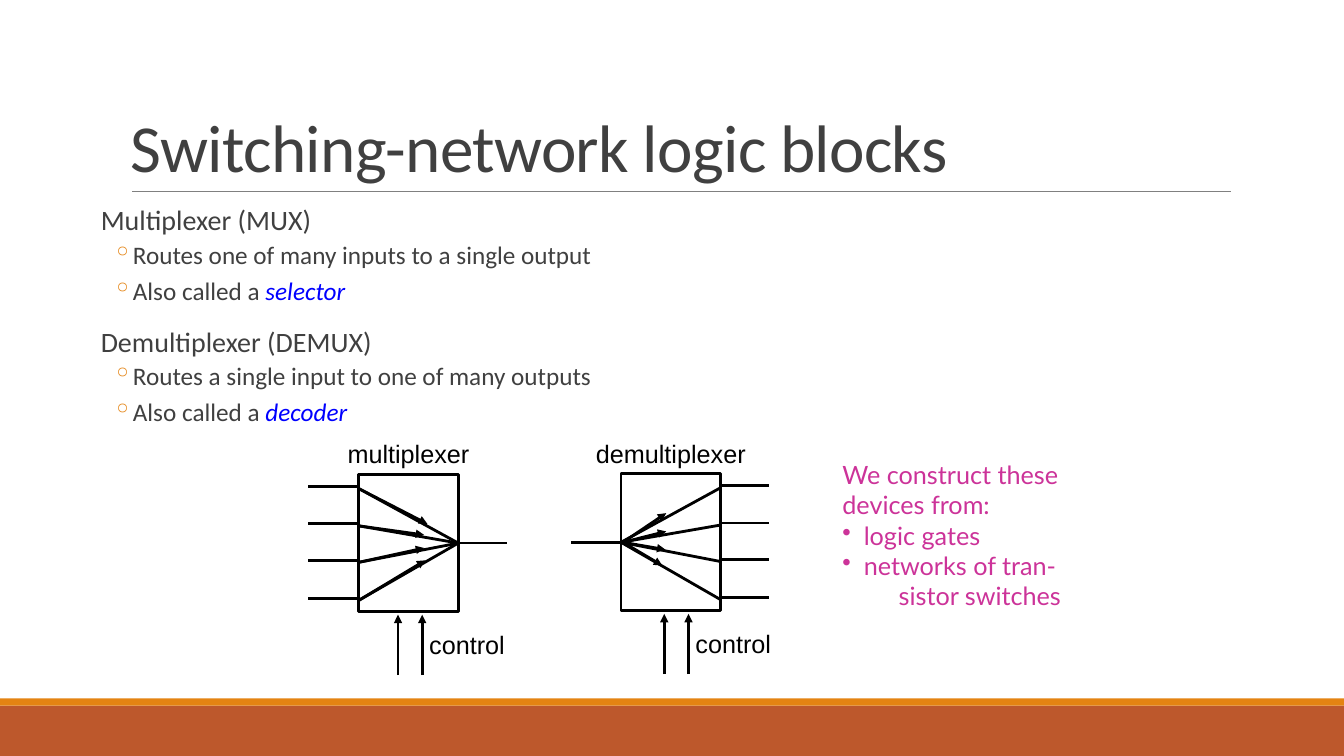
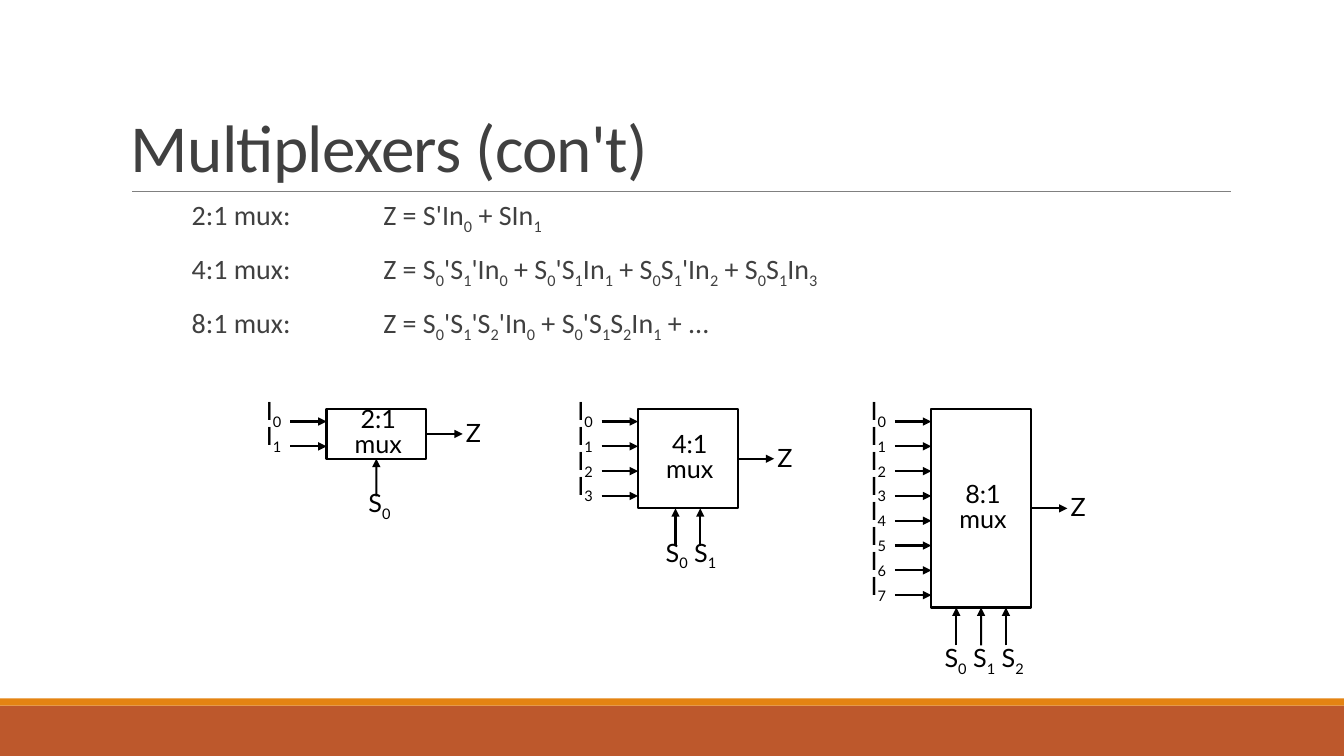
import pptx
import pptx.util
import pptx.dml.color
import pptx.enum.shapes
import pptx.enum.text
import pptx.oxml.ns
import lxml.etree

Cm, Pt = pptx.util.Cm, pptx.util.Pt
ALIGN = pptx.enum.text.PP_ALIGN
ANCHOR = pptx.enum.text.MSO_ANCHOR
RECT = pptx.enum.shapes.MSO_SHAPE.RECTANGLE
STRAIGHT = pptx.enum.shapes.MSO_CONNECTOR.STRAIGHT

# Shared look
W, H = 33.87, 19.05
GREY, BLACK, BLUE, PINK = "404040", "000000", "0000FF", "CC3399"
RUST, ORANGE, RULE = "BD582C", "E48312", "808080"
TITLE = dict(size=48, name="Calibri", color=GREY)
HEAD = dict(size=20, name="Calibri", color=GREY)
ITEM = dict(HEAD, size=18)
LABEL = dict(size=18, name="Arial", color=BLACK)
PIN = dict(size=18, name="Lato", color=BLACK)
NOTE = dict(PIN, color=PINK)

HEAD_PAR = dict(line_spacing=0.9, space_before=Pt(12), space_after=Pt(2))
ITEM_PAR = dict(line_spacing=0.9, space_before=Pt(2), space_after=Pt(4))
LABEL_PAR = dict(alignment=ALIGN.CENTER, line_spacing=Pt(21.8))
PIN_PAR = dict(line_spacing=Pt(17.8))
PIN_MID = dict(PIN_PAR, alignment=ALIGN.CENTER)

# Content: *word* is a highlighted term, _ lowers the next character
TERMS = [
    ("Multiplexer (MUX)", ["Routes one of many inputs to a single output",
                           "Also called a *selector*"]),
    ("Demultiplexer (DEMUX)", ["Routes a single input to one of many outputs",
                               "Also called a *decoder*"]),
]
# text, left margin, bullet
NOTES = [
    ("We construct these", 0, None),
    ("devices from:", 0, None),
    ("logic gates", 0.54, "•"),
    ("networks of tran-", 0.54, "•"),
    ("sistor switches", 1.42, None),
]
# Arrow tips are measured from the block's top left corner
BLOCKS = [
    dict(name="multiplexer", left=9.04, top=11.96, fan_in=True, shift=0,
         tips=[(1.73, 1.24), (1.65, 1.52), (1.65, 1.85), (1.68, 2.16)]),
    dict(name="demultiplexer", left=15.65, top=11.94, fan_in=False, shift=0.1,
         tips=[(1.14, 0.99), (1.14, 1.45), (1.12, 1.91), (1.04, 2.31)]),
]
BLOCK_W, BLOCK_H = 2.51, 3.45
PORTS = [0.3, 1.24, 2.16, 3.12]

EQUATIONS = [
    "2:1 mux:\tZ = S'In_0 + SIn_1",
    "4:1 mux:\tZ = S_0'S_1'In_0 + S_0'S_1In_1 + S_0S_1'In_2 + S_0S_1In_3",
    "8:1 mux:\tZ = S_0'S_1'S_2'In_0 + S_0'S_1S_2In_1 + ...",
]
# select lines, left, gap down to the select labels
MUXES = [(1, 8.23, 0.97), (2, 16.08, 0.97), (3, 23.47, 1.12)]
MUX_TOP, MUX_W, ROW, WIRE = 10.31, 2.51, 5 / 8, 0.92


def rgb(value):
    return pptx.dml.color.RGBColor.from_string(value)


def child(parent, tag, **attrs):
    return lxml.etree.SubElement(parent, pptx.oxml.ns.qn(tag), attrs)


def add_run(p, text, fmt, italic=False, lowered=False):
    if not text:
        return
    r = p.add_run()
    r.text = text
    values = dict(size=Pt(fmt["size"]), name=fmt["name"], italic=italic)
    for key, value in values.items():
        setattr(r.font, key, value)
    r.font.color.rgb = rgb(BLUE if italic else fmt["color"])
    if lowered:
        r.font._element.set("baseline", "-25000")


def write(p, text, fmt, par):
    for key, value in par.items():
        setattr(p, key, value)
    for n, line in enumerate(text.split("\n")):
        if n:
            p.add_line_break()
        for k, part in enumerate(line.split("*")):
            plain, *subs = part.split("_")
            add_run(p, plain, fmt, italic=k % 2 == 1)
            for sub in subs:
                add_run(p, sub[0], fmt, lowered=True)
                add_run(p, sub[1:], fmt)


def indent(p, margin, mark=None, hang=0, color=None):
    pPr = p._p.get_or_add_pPr()
    pPr.set("marL", str(Cm(margin)))
    pPr.set("indent", str(-Cm(hang)))
    if color:
        child(child(pPr, "a:buClr"), "a:srgbClr", val=color)
    if mark:
        child(pPr, "a:buChar", char=mark)


def setup(tf, margins=(0, 0, 0, 0), anchor=ANCHOR.TOP):
    left, top, right, bottom = map(Cm, margins)
    values = dict(word_wrap=True, vertical_anchor=anchor, margin_left=left,
                  margin_top=top, margin_right=right, margin_bottom=bottom)
    for key, value in values.items():
        setattr(tf, key, value)
    return tf


def textbox(s, x, y, w, h, paragraphs, anchor=ANCHOR.TOP):
    """Write (text, run format, paragraph format) items; return the paragraphs."""
    tf = setup(s.shapes.add_textbox(Cm(x), Cm(y), Cm(w), Cm(h)).text_frame,
               anchor=anchor)
    for n, item in enumerate(paragraphs):
        write(tf.add_paragraph() if n else tf.paragraphs[0], *item)
    return tf.paragraphs


def rect(s, x, y, w, h, fill=None, line=None):
    sp = s.shapes.add_shape(RECT, Cm(x), Cm(y), Cm(w), Cm(h))
    sp.shadow.inherit = False
    if fill:
        sp.fill.solid()
        sp.fill.fore_color.rgb = rgb(fill)
    else:
        sp.fill.background()
    if line:
        sp.line.color.rgb = rgb(BLACK)
        sp.line.width = Pt(line)
    else:
        sp.line.fill.background()
    return sp


def wire(s, start, end, width=2, color=BLACK, arrow=False, begin=None, finish=None):
    """Draw a line; begin and finish are (shape, side) joints."""
    c = s.shapes.add_connector(STRAIGHT, *map(Cm, start + end))
    if begin:
        c.begin_connect(*begin)
    if finish:
        c.end_connect(*finish)
    c.line.color.rgb = rgb(color)
    c.line.width = Pt(width)
    if arrow:
        child(c.line._get_or_add_ln(), "a:tailEnd", type="triangle")
    child(c._element.spPr, "a:effectLst")


def new_slide(prs, title):
    s = prs.slides.add_slide(prs.slide_layouts[6])
    rect(s, 0, 17.78, W, 1.27, RUST)
    rect(s, 0, 17.6, W, 0.18, ORANGE)
    wire(s, (3.33, 4.83), (31.01, 4.83), 0.5, RULE)
    p, = textbox(s, 3.3, 0.79, 27.5, 3.91,
                 [(title, TITLE, dict(line_spacing=0.85))], ANCHOR.BOTTOM)
    for r in p.runs:
        r.font._element.set("spc", "-50")
    return s


def routing_block(s, name, left, top, fan_in, shift, tips):
    right, mid = left + BLOCK_W, top + BLOCK_H / 2
    box = rect(s, left, top, BLOCK_W, BLOCK_H, line=2)
    left_end, right_end = left - 1.27, right + 1.22
    many, many_end = (left, left_end) if fan_in else (right, right_end)
    one, one_end, side = (right, right_end, 3) if fan_in else (left, left_end, 1)
    wire(s, (one, mid), (one_end, mid), begin=(box, side))
    # Ports, fan lines and their arrows
    for port, (dx, dy) in zip(PORTS, tips):
        y = top + port
        fan = (many, y + 0.05)
        wire(s, (many, y), (many_end, y))
        wire(s, fan, (one, mid))
        wire(s, fan if fan_in else (one + 0.05, mid), (left + dx, top + dy), arrow=True)
    # Control lines
    for dx in (0.99, 1.6):
        x = left + dx + shift
        wire(s, (x, top + 5.05), (x, top + 3.53), arrow=True)
    for text, centre, y in [(name, left + BLOCK_W / 2, top - 0.91),
                            ("control", left + 2.73 + shift, top + 3.89)]:
        textbox(s, centre - 2.5, y, 5, 1, [(text, LABEL, LABEL_PAR)])


def mux(s, selects, left, gap):
    inputs = 2 ** selects
    height = inputs * ROW
    right, bottom, mid = left + MUX_W, MUX_TOP + height, MUX_TOP + height / 2
    centre = left + MUX_W / 2
    box = rect(s, left, MUX_TOP, MUX_W, height, line=1.5)
    tf = setup(box.text_frame, (0.1, 0, 0, 0), ANCHOR.MIDDLE)
    write(tf.paragraphs[0], f"{inputs}:1\nmux", PIN, PIN_MID)
    # Inputs
    names = "\n".join(f"I_{i}" for i in range(inputs))
    textbox(s, left - 1.53, MUX_TOP - 0.1, 0.8, height, [(names, PIN, PIN_PAR)])
    for i in range(inputs):
        y = MUX_TOP + (i + 0.5) * ROW
        wire(s, (left - WIRE, y), (left, y), 1.5, arrow=True)
    # Output
    wire(s, (right, mid), (right + WIRE, mid), 1.5, arrow=True, begin=(box, 3))
    textbox(s, right + 1, mid - 0.29, 1, 0.7, [("Z", PIN, PIN_PAR)])
    # Select lines
    for i in range(selects):
        offset = (i - (selects - 1) / 2) * ROW
        x = centre + offset
        wire(s, (x, bottom + 0.95), (x, bottom), 1.5, arrow=True,
             finish=None if offset else (box, 2))
    names = " ".join(f"S_{i}" for i in range(selects))
    textbox(s, centre - 1.42, bottom + gap, 3, 0.7, [(names, PIN, PIN_MID)])


def blocks_slide(prs):
    s = new_slide(prs, "Switching-network logic blocks")
    lines = []
    for term, items in TERMS:
        lines.append((term, HEAD, HEAD_PAR))
        lines += [(item, ITEM, ITEM_PAR) for item in items]
    for p, (_, fmt, _) in zip(textbox(s, 2.54, 5.21, 21.87, 6.1, lines), lines):
        if fmt is ITEM:
            indent(p, 0.81, "◦", 0.51, ORANGE)
    for block in BLOCKS:
        routing_block(s, **block)
    notes = textbox(s, 21.23, 11.58, 7.3, 4.8, [(text, NOTE, {}) for text, _, _ in NOTES])
    for p, (_, margin, mark) in zip(notes, NOTES):
        indent(p, margin, mark, margin if mark else 0)


def mux_slide(prs):
    s = new_slide(prs, "Multiplexers (con't)")
    for p in textbox(s, 4.83, 5, 21.8, 4.8, [(eq, HEAD, HEAD_PAR) for eq in EQUATIONS]):
        tabs = child(p._p.get_or_add_pPr(), "a:tabLst")
        child(tabs, "a:tab", pos=str(Cm(4.83)), algn="l")
    for item in MUXES:
        mux(s, *item)


def main():
    prs = pptx.Presentation()
    prs.slide_width, prs.slide_height = Cm(W), Cm(H)
    blocks_slide(prs)
    mux_slide(prs)
    prs.save("out.pptx")


if __name__ == "__main__":
    main()
